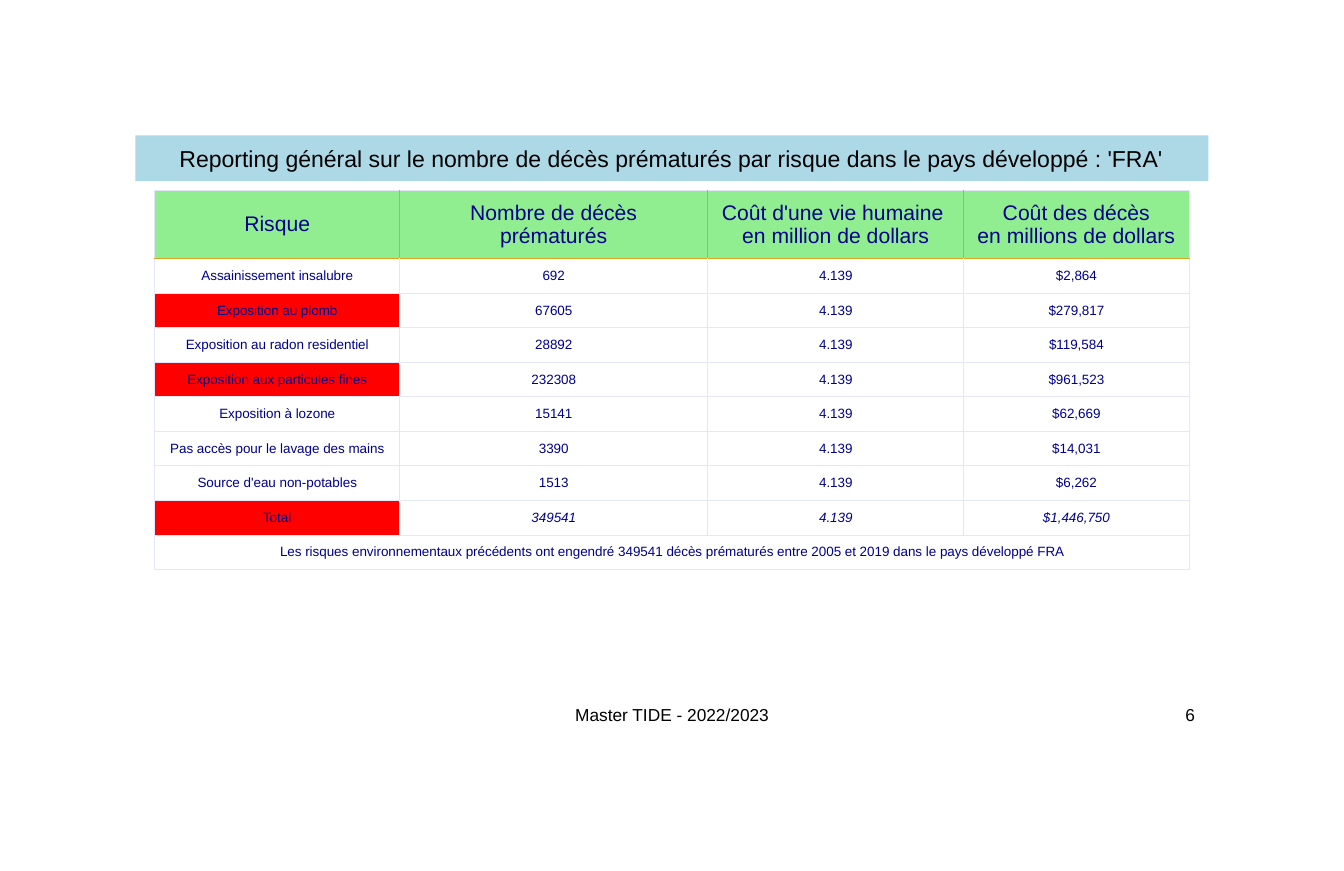
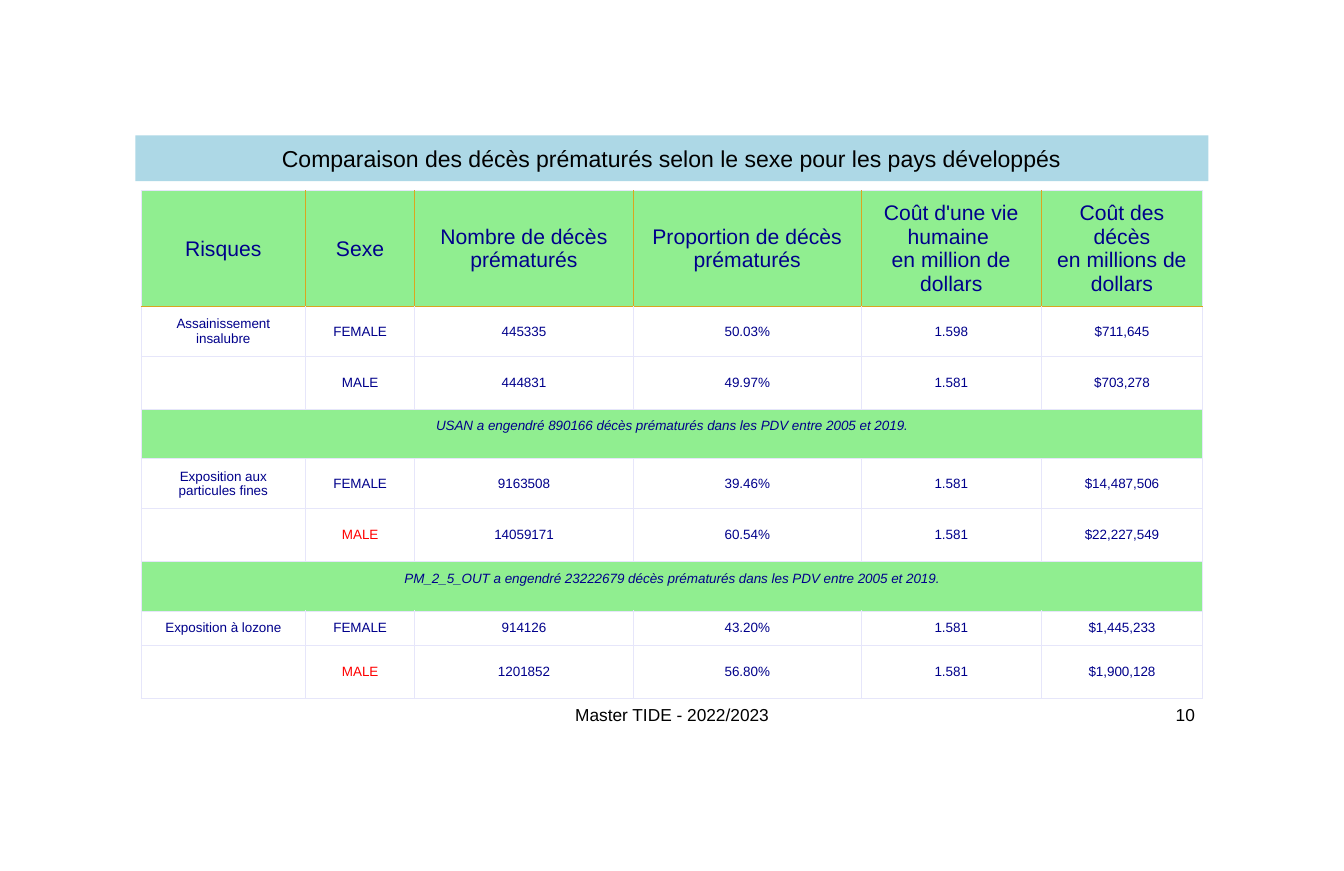
"""Build two slides of tables on premature deaths by environmental risk."""
from pptx import Presentation
from pptx import util as u
from pptx.dml.color import RGBColor
from pptx.enum import text
from pptx.oxml import parse_xml
from pptx.oxml.ns import nsdecls

COLORS = {"band": "ADD8E6", "header": "90EE90", "ink": "00008B", "alert": "FF0000",
          "grid": "E6E6FA", "gold": "DAA520", "black": "000000"}
FONT = "Arial"
FOOTER = "Master TIDE - 2022/2023"
LIFE_COST = "4.139"

REPORT = {
    "title": "Reporting général sur le nombre de décès prématurés par risque "
             "dans le pays développé : 'FRA'",
    "page": 6,
    "left": 1.12,
    "widths": [1.77, 2.23, 1.85, 1.63],
    "heights": [0.49] + [0.25] * 9,
    "header": ["Risque", "Nombre de décès\vprématurés",
               "Coût d'une vie humaine \ven million de dollars",
               "Coût des décès\ven millions de dollars"],
    "rows": [(risk, deaths, LIFE_COST, cost) for risk, deaths, cost in [
        ("Assainissement insalubre", "692", "$2,864"),
        ("Exposition au plomb", "67605", "$279,817"),
        ("Exposition au radon residentiel", "28892", "$119,584"),
        ("Exposition aux particules fines", "232308", "$961,523"),
        ("Exposition à lozone", "15141", "$62,669"),
        ("Pas accès pour le lavage des mains", "3390", "$14,031"),
        ("Source d'eau non-potables", "1513", "$6,262"),
        ("Total", "349541", "$1,446,750"),
    ]] + [("Les risques environnementaux précédents ont engendré 349541 décès prématurés "
           "entre 2005 et 2019 dans le pays développé FRA",)],
    "red_fills": {(2, 0), (4, 0), (8, 0)},
    "red_texts": set(),
    "italics": {(8, 1), (8, 2), (8, 3)},
    "green_notes": False,
}

COMPARISON = {
    "title": "Comparaison des décès prématurés selon le sexe pour les pays développés",
    "page": 10,
    "left": 1.02,
    "widths": [1.19, 0.79, 1.58, 1.65, 1.3, 1.17],
    "heights": [0.84, 0.36, 0.38, 0.36, 0.36, 0.38, 0.36, 0.25, 0.38],
    "header": ["Risques", "Sexe", "Nombre de décès\vprématurés",
               "Proportion de décès\vprématurés",
               "Coût d'une vie\vhumaine \ven million de\vdollars",
               "Coût des\vdécès\ven millions de\vdollars"],
    "rows": [
        ("Assainissement\vinsalubre", "FEMALE", "445335", "50.03%", "1.598", "$711,645"),
        ("", "MALE", "444831", "49.97%", "1.581", "$703,278"),
        ("USAN a engendré 890166 décès prématurés dans les PDV entre 2005 et 2019.",),
        ("Exposition aux\vparticules fines", "FEMALE", "9163508", "39.46%", "1.581",
         "$14,487,506"),
        ("", "MALE", "14059171", "60.54%", "1.581", "$22,227,549"),
        ("PM_2_5_OUT a engendré 23222679 décès prématurés dans les PDV entre 2005 et 2019.",),
        ("Exposition à lozone", "FEMALE", "914126", "43.20%", "1.581", "$1,445,233"),
        ("", "MALE", "1201852", "56.80%", "1.581", "$1,900,128"),
    ],
    "red_fills": set(),
    "red_texts": {(5, 1), (8, 1)},
    "italics": {(3, 0), (6, 0)},
    "green_notes": True,
}


def rgb(name):
    return RGBColor.from_string(COLORS[name])


def style_text(frame, size, color, align=text.PP_ALIGN.CENTER, italic=False):
    for paragraph in frame.paragraphs:
        paragraph.alignment = align
        font = paragraph.font
        font.name, font.size, font.italic = FONT, u.Pt(size), italic
        font.color.rgb = rgb(color)


def set_borders(cell, sides):
    properties = cell._tc.get_or_add_tcPr()
    for side, color in sides.items():
        properties.append(parse_xml(
            f'<a:ln{side} {nsdecls("a")} w="6350"><a:solidFill>'
            f'<a:srgbClr val="{COLORS[color]}"/></a:solidFill></a:ln{side}>'))


def add_title(slide, title):
    band = slide.shapes.title
    band.left, band.top, band.width, band.height = map(u.Inches, (0.98, 0.98, 7.76, 0.33))
    band.fill.solid()
    band.fill.fore_color.rgb = rgb("band")
    band.text_frame.text = title
    band.text_frame.vertical_anchor = text.MSO_ANCHOR.MIDDLE
    style_text(band.text_frame, 12, "black")


def add_footer(slide, left, width, words, align):
    footer = slide.shapes.add_textbox(*map(u.Inches, (left, 5.03, width, 0.28)))
    frame = footer.text_frame
    frame.word_wrap = True
    frame.vertical_anchor = text.MSO_ANCHOR.MIDDLE
    frame.text = words
    style_text(frame, 9, "black", align)


def add_deaths_table(slide, content):
    widths, heights = content["widths"], content["heights"]
    last = len(widths) - 1
    table = slide.shapes.add_table(
        len(heights), len(widths),
        *map(u.Inches, (content["left"], 1.38, sum(widths), sum(heights)))).table
    table.first_row = table.horz_banding = False
    for column, width in zip(table.columns, widths):
        column.width = u.Inches(width)
    for row, height in zip(table.rows, heights):
        row.height = u.Inches(height)

    for r, values in enumerate([content["header"]] + content["rows"]):
        is_header, is_note = r == 0, len(values) == 1
        if is_note:
            table.cell(r, 0).merge(table.cell(r, last))
        for c in range(last + 1):
            cell = table.cell(r, c)
            set_borders(cell, {
                "L": "gold" if is_header and c > 0 else "grid",
                "R": "gold" if is_header and c < last else "grid",
                "T": "gold" if r == 1 else "grid",
                "B": "gold" if is_header else "grid"})
            fill = "header" if is_header or is_note and content["green_notes"] else None
            if (r, c) in content["red_fills"]:
                fill = "alert"
            if fill:
                cell.fill.solid()
                cell.fill.fore_color.rgb = rgb(fill)
            else:
                cell.fill.background()
            cell.margin_left = cell.margin_right = u.Inches(0.05)
            cell.margin_top = cell.margin_bottom = u.Inches(0.07)
            top = is_note and content["green_notes"]
            cell.vertical_anchor = text.MSO_ANCHOR.TOP if top else text.MSO_ANCHOR.MIDDLE
            if c < len(values):
                cell.text = values[c]
            style_text(cell.text_frame, 11 if is_header else 7,
                       "alert" if (r, c) in content["red_texts"] else "ink",
                       italic=(r, c) in content["italics"])


def main():
    deck = Presentation()
    deck.slide_width, deck.slide_height = u.Inches(9.72), u.Inches(6.3)
    for content in (REPORT, COMPARISON):
        slide = deck.slides.add_slide(deck.slide_layouts[5])
        add_title(slide, content["title"])
        add_deaths_table(slide, content)
        add_footer(slide, 2.92, 3.88, FOOTER, text.PP_ALIGN.CENTER)
        add_footer(slide, 6.8, 1.94, str(content["page"]), text.PP_ALIGN.RIGHT)
    deck.save("out.pptx")


if __name__ == "__main__":
    main()
